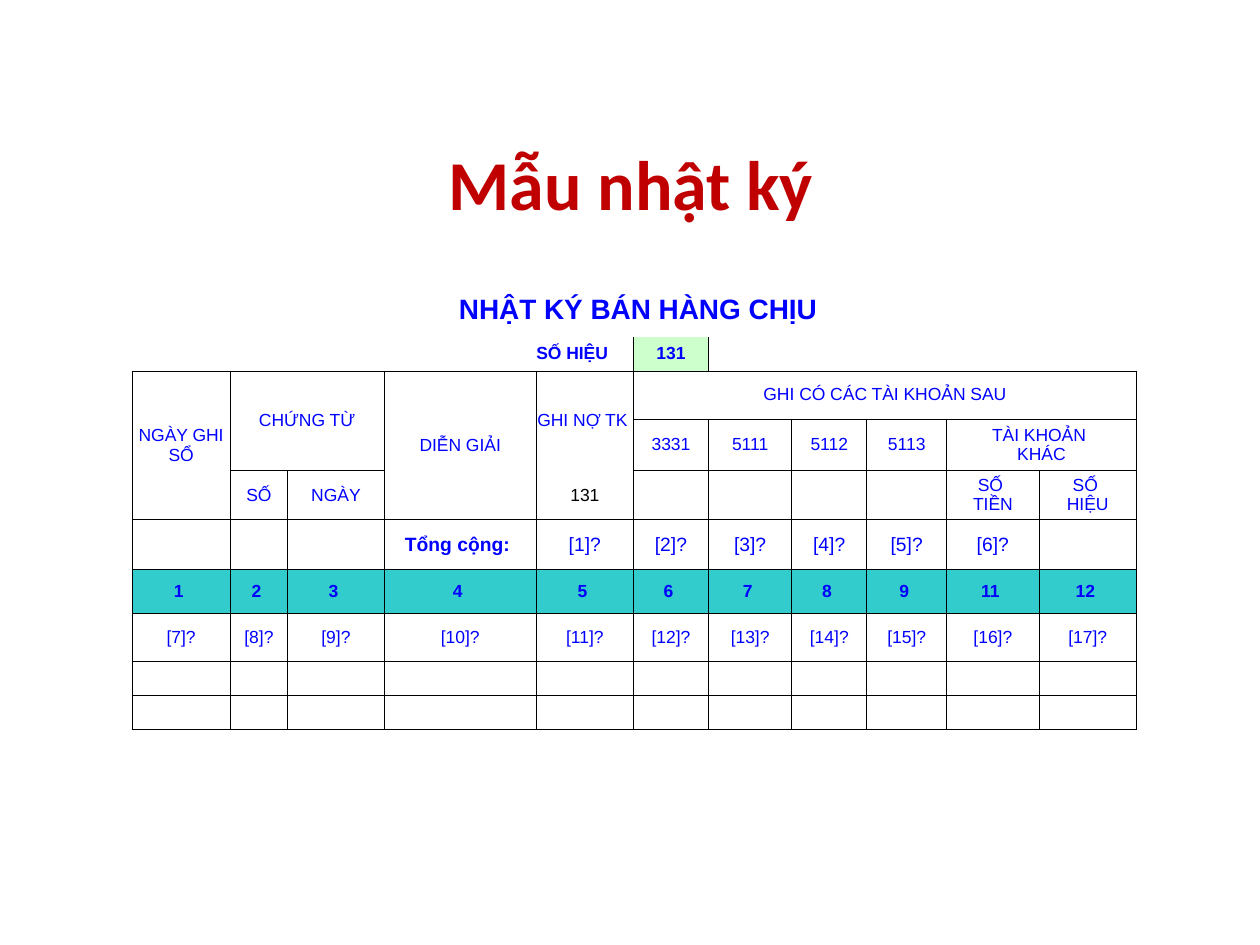
from lxml.etree import SubElement
from pptx import Presentation
from pptx.dml.color import RGBColor
from pptx.enum.text import MSO_ANCHOR as Anchor, PP_ALIGN as Align
from pptx.oxml.ns import qn
from pptx.util import Pt

COLORS = {
    "title": "C00000",
    "text": "0000FF",
    "line": "000000",
    "account": "CCFFCC",
    "index": "33CCCC",
}
COLUMN_WIDTHS = [56, 33, 55, 87, 55.5, 43, 47.5, 43, 45.5, 53, 55.5]
ROW_HEIGHTS = [30.5, 19.5, 27.5, 29.5, 28, 28.5, 25, 27.5, 19.5, 19.5]
HEADING_ROW, ACCOUNT_ROW, TOTAL_ROW, INDEX_ROW, ENTRY_ROW = 0, 1, 5, 6, 7
DEBIT_COLUMN, ACCOUNT_COLUMN = 4, 5
SPANS = {
    (0, 0): (1, 11),
    (2, 0): (3, 1),
    (2, 1): (2, 2),
    (2, 3): (3, 1),
    (2, 4): (2, 1),
    (2, 5): (1, 6),
    (3, 9): (1, 2),
}
HEADER_TEXTS = {
    (2, 0): "NGÀY GHI SỔ",
    (2, 1): "CHỨNG TỪ",
    (2, 3): "DIỄN GIẢI",
    (2, 4): "GHI NỢ TK ",
    (2, 5): "GHI CÓ CÁC TÀI KHOẢN SAU",
    (3, 5): "3331",
    (3, 6): "5111",
    (3, 7): "5112",
    (3, 8): "5113",
    (3, 9): "TÀI KHOẢN \nKHÁC",
    (4, 1): "SỐ",
    (4, 2): "NGÀY",
    (4, 9): "SỐ \nTIỀN",
    (4, 10): "SỐ \nHIỆU",
}
INDEX_NUMBERS = [1, 2, 3, 4, 5, 6, 7, 8, 9, 11, 12]


def write_text(frame, text, size=10, bold=False, color="text", font="Arial",
               align=Align.CENTER, line_spacing=None):
    for number, line in enumerate(text.split("\n")):
        paragraph = frame.add_paragraph() if number else frame.paragraphs[0]
        paragraph.alignment = align
        if line_spacing:
            paragraph.line_spacing = line_spacing
        run = paragraph.add_run()
        run.text = line
        run.font.size = Pt(size)
        run.font.bold = bold
        run.font.name = font
        run.font.color.rgb = RGBColor.from_string(COLORS[color])


def border_sides(row, column):
    if row == HEADING_ROW:
        return ""
    if row == ACCOUNT_ROW:
        return {DEBIT_COLUMN: "RB", ACCOUNT_COLUMN: "LRB",
                ACCOUNT_COLUMN + 1: "LB"}.get(column, "B")
    if column == DEBIT_COLUMN and row in (2, 3, 4):
        return {2: "LRT", 3: "LR", 4: "LRB"}[row]
    return "LRTB"


def set_borders(cell, sides):
    properties = cell._tc.get_or_add_tcPr()
    for side in "LRTB":
        line = SubElement(properties, qn(f"a:ln{side}"), w=str(Pt(0.5)))
        if side in sides:
            fill = SubElement(line, qn("a:solidFill"))
            SubElement(fill, qn("a:srgbClr"), val=COLORS["line"])
        else:
            SubElement(line, qn("a:noFill"))


def format_cell(cell, row, column):
    cell.margin_left = cell.margin_right = cell.margin_top = cell.margin_bottom = 0
    cell.vertical_anchor = Anchor.MIDDLE
    set_borders(cell, border_sides(row, column))
    fill_name = None
    if row == INDEX_ROW:
        fill_name = "index"
    elif (row, column) == (ACCOUNT_ROW, ACCOUNT_COLUMN):
        fill_name = "account"
    if fill_name:
        cell.fill.solid()
        cell.fill.fore_color.rgb = RGBColor.from_string(COLORS[fill_name])
    else:
        cell.fill.background()


def fill_table(table):
    def write(row, column, text, **text_format):
        write_text(table.cell(row, column).text_frame, text, **text_format)

    write(HEADING_ROW, 0, " NHẬT KÝ BÁN HÀNG CHỊU", size=16, bold=True)
    write(ACCOUNT_ROW, DEBIT_COLUMN, "SỐ HIỆU", bold=True, align=Align.LEFT)
    write(ACCOUNT_ROW, ACCOUNT_COLUMN, "131", bold=True)
    for (row, column), text in HEADER_TEXTS.items():
        write(row, column, text)
    write(4, DEBIT_COLUMN, "131", color="line")
    write(TOTAL_ROW, 3, "Tổng cộng: ", size=11, bold=True)
    for number in range(1, 7):
        write(TOTAL_ROW, DEBIT_COLUMN + number - 1, f"[{number}]?", size=11)
    for column, number in enumerate(INDEX_NUMBERS):
        write(INDEX_ROW, column, f"{number} ", bold=True)
        write(ENTRY_ROW, column, f"[{column + 7}]?")


def add_journal(slide, left, top):
    shape = slide.shapes.add_table(
        len(ROW_HEIGHTS), len(COLUMN_WIDTHS), Pt(left), Pt(top),
        Pt(sum(COLUMN_WIDTHS)), Pt(sum(ROW_HEIGHTS)))
    table = shape.table
    table.first_row = table.horz_banding = False
    for column, width in zip(table.columns, COLUMN_WIDTHS):
        column.width = Pt(width)
    for row, height in zip(table.rows, ROW_HEIGHTS):
        row.height = Pt(height)
    for (row, column), (height, width) in SPANS.items():
        table.cell(row, column).merge(
            table.cell(row + height - 1, column + width - 1))
    fill_table(table)
    for row in range(len(ROW_HEIGHTS)):
        for column in range(len(COLUMN_WIDTHS)):
            cell = table.cell(row, column)
            format_cell(cell, row, column)
            if not cell.text_frame.text:
                paragraph = cell.text_frame.paragraphs[0]
                SubElement(paragraph._p, qn("a:endParaRPr"), sz="1000")


def add_title(slide, left, top, width, height):
    box = slide.shapes.add_textbox(Pt(left), Pt(top), Pt(width), Pt(height))
    frame = box.text_frame
    frame.word_wrap = True
    frame.vertical_anchor = Anchor.MIDDLE
    frame.margin_left = frame.margin_right = Pt(3)
    frame.margin_top = frame.margin_bottom = Pt(3)
    write_text(frame, "Mẫu nhật ký", size=40, bold=True, color="title",
               font="Calibri", line_spacing=0.9)


def main():
    presentation = Presentation()
    presentation.slide_width, presentation.slide_height = Pt(720), Pt(540)
    slide = presentation.slides.add_slide(presentation.slide_layouts[6])
    add_journal(slide, 75.5, 162)
    add_title(slide, 21, 69, 679, 76.5)
    presentation.save("out.pptx")


if __name__ == "__main__":
    main()
